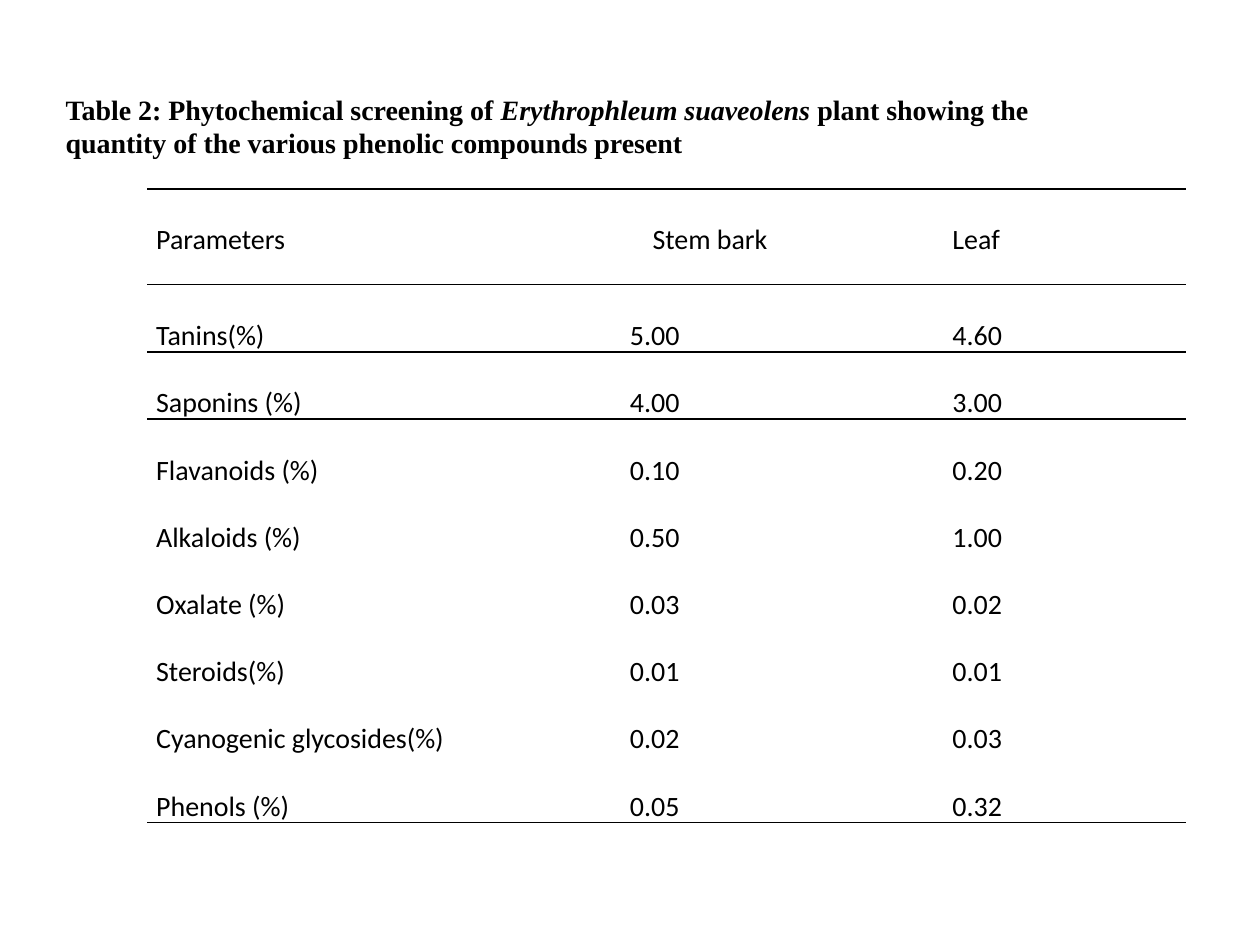
from typing import NamedTuple

from lxml import etree
from pptx import Presentation
from pptx import util as u
from pptx.dml.color import RGBColor
from pptx.enum import text
from pptx.oxml.ns import qn

INK = {"text": "000000", "rule": "000000"}
WIDTHS = (3.76, 2.56, 1.92)
HEAD, STEP = 0.76, 0.51


class Row(NamedTuple):
    name: str
    bark: str
    leaf: str
    rules: tuple = ()


ROWS = [
    Row("Parameters", "Stem bark", "Leaf", ("T", "B")),
    Row("Tanins(%)", "5.00", "4.60", ("T", "B")),
    Row("Saponins (%)", "4.00", "3.00", ("T",)),
    Row("Flavanoids (%)", "0.10", "0.20"),
    Row("Alkaloids (%)", "0.50", "1.00"),
    Row("Oxalate (%)", "0.03", "0.02"),
    Row("Steroids(%)", "0.01", "0.01"),
    Row("Cyanogenic glycosides(%)", "0.02", "0.03"),
    Row("Phenols (%)", "0.05", "0.32", ("B",)),
]


def style(para, face: str, bold: bool = False) -> None:
    font = para.font
    font.name, font.size, font.bold = face, u.Pt(16), bold
    font.color.rgb = RGBColor.from_string(INK["text"])


def add_rule(cell, side: str) -> None:
    props = cell._tc.get_or_add_tcPr()
    line = etree.SubElement(props, qn(f"a:ln{side}"), w=str(u.Pt(1)))
    fill = etree.SubElement(line, qn("a:solidFill"))
    etree.SubElement(fill, qn("a:srgbClr"), val=INK["rule"])


def fill_cell(cell, words: str, rules: tuple) -> None:
    cell.text = words
    cell.margin_left = cell.margin_right = u.Inches(0.07)
    cell.margin_top = cell.margin_bottom = 0
    for side in rules:
        add_rule(cell, side)
    cell.fill.background()
    para = cell.text_frame.paragraphs[0]
    para.alignment = text.PP_ALIGN.JUSTIFY
    para.line_spacing = 2.0
    style(para, "Calibri")


def add_grid(slide) -> None:
    high = HEAD + STEP * (len(ROWS) - 1)
    frame = slide.shapes.add_table(
        len(ROWS), len(WIDTHS), u.Inches(1.17), u.Inches(1.5),
        u.Inches(sum(WIDTHS)), u.Inches(high))
    grid = frame.table
    grid.first_row = grid.horz_banding = False
    key = grid._tbl.tblPr.find(qn("a:tableStyleId"))
    key.text = "{2D5ABB26-0587-4C30-8999-92F81FD0307C}"
    for col, wide in zip(grid.columns, WIDTHS):
        col.width = u.Inches(wide)
    for i, row in enumerate(ROWS):
        grid.rows[i].height = u.Inches(STEP if i else HEAD)
        for j, words in enumerate((row.name, row.bark, row.leaf)):
            fill_cell(grid.cell(i, j), words, row.rules)
    bark = grid.cell(0, 1).text_frame.paragraphs[0]
    bark._p.get_or_add_pPr().set("marL", str(u.Inches(0.18)))


def add_title(slide) -> None:
    title = slide.shapes.title
    title.left, title.top = u.Inches(0.42), u.Inches(0.68)
    title.width, title.height = u.Inches(8.33), u.Inches(0.64)
    frame = title.text_frame
    frame.word_wrap = True
    frame.auto_size = text.MSO_AUTO_SIZE.SHAPE_TO_FIT_TEXT
    frame.vertical_anchor = text.MSO_ANCHOR.MIDDLE
    para = frame.paragraphs[0]
    para.alignment = text.PP_ALIGN.LEFT
    style(para, "Times New Roman", True)
    parts = (
        ("Table 2: Phytochemical screening of ", False),
        ("Erythrophleum suaveolens ", True),
        ("plant showing the quantity of the various phenolic compounds present",
         False),
    )
    for words, slant in parts:
        run = para.add_run()
        run.text = words
        run.font.italic = slant


def main() -> None:
    deck = Presentation()
    deck.slide_width, deck.slide_height = u.Inches(10), u.Inches(7.5)
    slide = deck.slides.add_slide(deck.slide_layouts[5])
    add_grid(slide)
    add_title(slide)
    deck.save("out.pptx")


if __name__ == "__main__":
    main()
